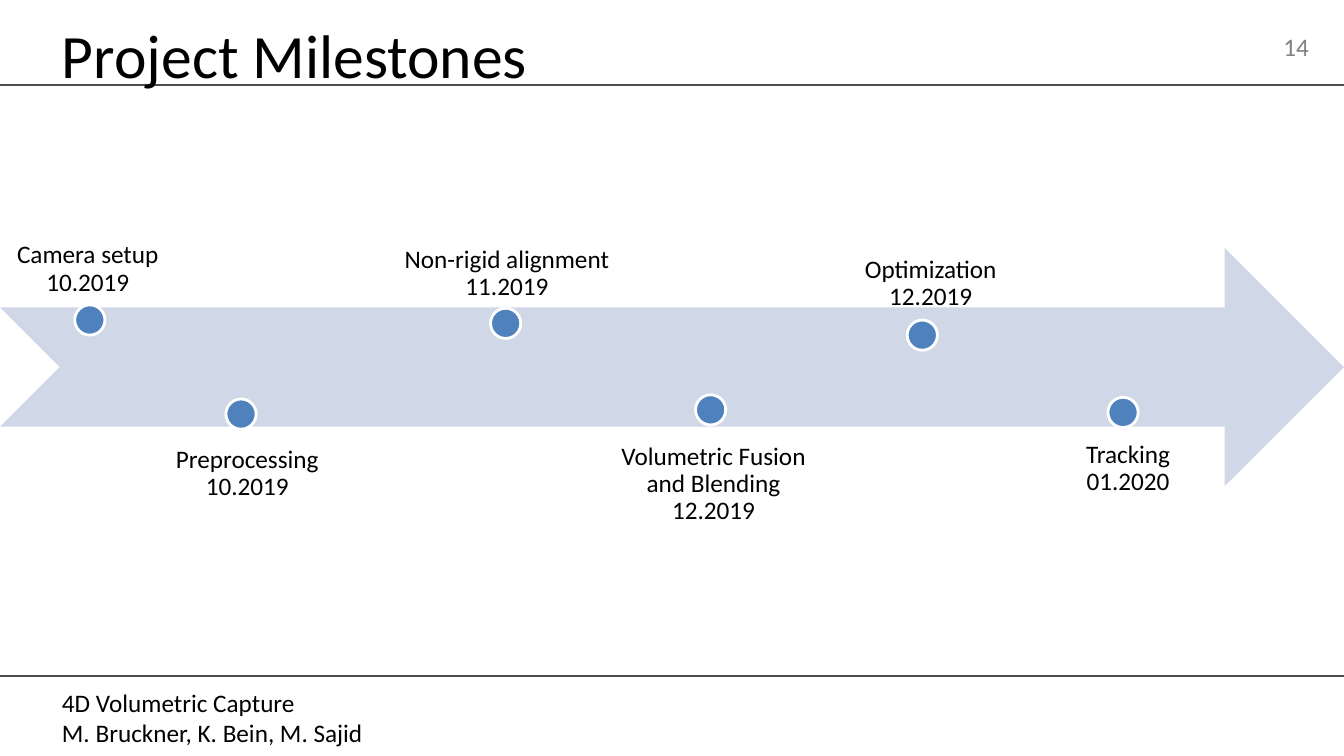
from lxml.etree import SubElement
from pptx import Presentation
from pptx.dml.color import RGBColor
from pptx.enum.shapes import MSO_CONNECTOR as Link, MSO_SHAPE as Shape
from pptx.enum.text import MSO_ANCHOR as Anchor, PP_ALIGN as Align
from pptx.oxml.ns import qn
from pptx.util import Inches, Pt

WIDE, HIGH = 13.33, 7.5
COLS, ROWS = 160, 90
TOP, LOW = Anchor.TOP, Anchor.BOTTOM
DOT = 3.6

MARKS = [
    ("Camera setup\n10.2019", (8.9, 6.8), (0, 0.1, 20.9, 7.4), LOW),
    ("Preprocessing\n10.2019", (26.9, 18), (18.6, 22, 21.7, 6), TOP),
    ("Non-rigid alignment\n11.2019", (58.4, 7.2), (46, -1.8, 28.7, 10), TOP),
    ("Volumetric Fusion and Blending\n12.2019", (82.8, 17.5), (72.1, 21.7, 25.7, 13), LOW),
    ("Optimization\n12.2019", (108, 8.6), (99.5, -1.1, 22.6, 10.3), LOW),
    ("Tracking\n01.2020", (131.9, 17.8), (127, 21.4, 14.6, 7), TOP),
]


def color(code):
    """Turn a hex string into a colour."""
    return RGBColor.from_string(code)


def place(x, y, w, h):
    """Turn grid columns and rows into slide lengths."""
    col, row = WIDE / COLS, HIGH / ROWS
    return Inches(x * col), Inches(y * row), Inches(w * col), Inches(h * row)


def write(slide, text, box, size=18, ink="000000", align=Align.LEFT,
          anchor=TOP, pad=None, lead=None):
    """Add a text box with one paragraph per line of text."""
    frame = slide.shapes.add_textbox(*place(*box)).text_frame
    frame.word_wrap = True
    frame.vertical_anchor = anchor
    if pad is not None:
        frame.margin_left = frame.margin_right = Inches(pad)
        frame.margin_top = frame.margin_bottom = Inches(pad)
    frame.text = text
    for para in frame.paragraphs:
        para.alignment = align
        para.line_spacing = lead
        para.font.name = "Calibri"
        para.font.size = Pt(size)
        para.font.color.rgb = color(ink)


def draw(slide, kind, box, fill, edge=None):
    """Add a filled shape, outlined when an edge colour is given."""
    shape = slide.shapes.add_shape(kind, *place(*box))
    shape.shadow.inherit = False
    shape.fill.solid()
    shape.fill.fore_color.rgb = color(fill)
    if edge:
        shape.line.color.rgb = color(edge)
        shape.line.width = Pt(2)
    else:
        shape.line.fill.background()


def rule(slide, y):
    """Draw a line across the slide at the given row."""
    x, top, w, _ = place(0, y, COLS, 0)
    line = slide.shapes.add_connector(Link.STRAIGHT, x, top, x + w, top)
    line.line.color.rgb = color("4D4D4D")
    line.line.width = Pt(1.5)
    SubElement(line._element.spPr, qn("a:effectLst"))


def header(slide, box):
    """Place the title, the slide number and the line below them."""
    x, y, w, h = box
    rule(slide, y + h)
    write(slide, "14", (x + w - 11.2, y + 3.1, 8.2, 4.8),
          ink="808080", align=Align.RIGHT)
    write(slide, "Project Milestones", (x + 6.2, y, 114.5, h + 1.3),
          size=44, anchor=LOW)


def footer(slide, box):
    """Place the project name and authors under a line."""
    x, y, w, h = box
    rule(slide, y)
    write(slide, "4D Volumetric Capture\nM. Bruckner, K. Bein, M. Sajid",
          (x + 6.2, y + 0.7, 113, h - 1))


def timeline(slide, box):
    """Place the arrow with its dots and labels."""
    x, y, _, _ = box
    draw(slide, Shape.NOTCHED_RIGHT_ARROW, box, "D0D8E8")
    for text, (dx, dy), (lx, ly, lw, lh), anchor in MARKS:
        write(slide, text, (x + lx, y + ly, lw, lh), align=Align.CENTER,
              anchor=anchor, pad=0.14, lead=0.9)
        draw(slide, Shape.OVAL, (x + dx, y + dy, DOT, DOT), "4F81BD", "FFFFFF")


def main():
    """Build and save the slide."""
    deck = Presentation()
    deck.slide_width, deck.slide_height = Inches(WIDE), Inches(HIGH)
    slide = deck.slides.add_slide(deck.slide_layouts[6])
    footer(slide, (0, 80.5, COLS, 9.5))
    header(slide, (0, 0, COLS, 10.1))
    timeline(slide, (0, 29.5, COLS, 28.4))
    deck.save("out.pptx")


if __name__ == "__main__":
    main()
